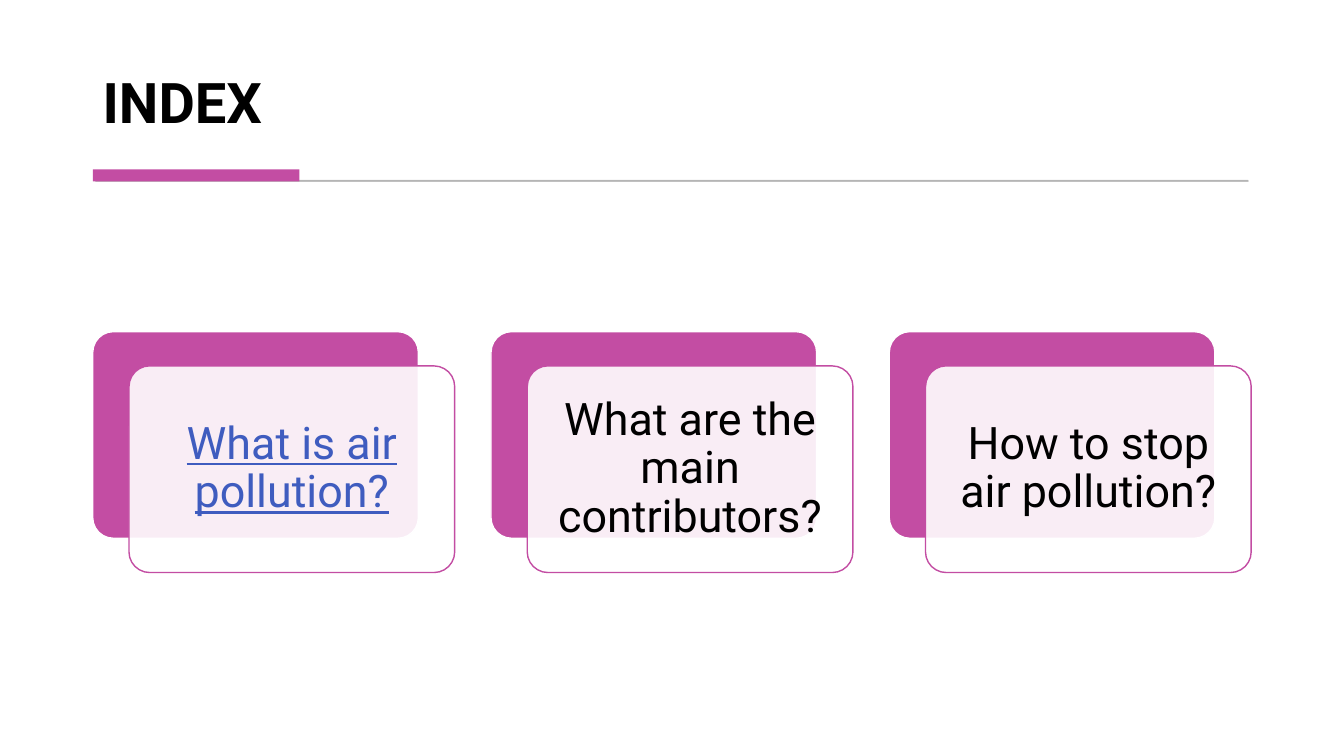
from lxml.etree import SubElement
from pptx import Presentation
from pptx.dml.color import RGBColor
from pptx.enum.shapes import MSO_SHAPE as Shape
from pptx.enum.text import MSO_ANCHOR as Anchor, PP_ALIGN as Align
from pptx.oxml.ns import qn
from pptx.util import Inches, Pt

COLORS = {"accent": "C34DA3", "white": "FFFFFF", "rule": "595959",
          "text": "000000", "link": "3F5CBF"}
QUESTIONS = ["What is air pollution?", "What are the main contributors?",
             "How to stop air pollution?"]
CARD_PITCH = 3.95
CARD_OFFSET = (0.36, 0.34)
TEXT_MARGIN = 0.06


def set_opacity(color_format, color, percent):
    """Colour a solid fill or line and set its opacity."""
    color_format.solid()
    color_format.fore_color.rgb = RGBColor.from_string(COLORS[color])
    if percent < 100:
        element = color_format._xPr.find(qn("a:solidFill"))[0]
        SubElement(element, qn("a:alpha"), val=str(percent * 1000))


def add_box(slide, kind, box, fill, line=None, width=1, opacity=100, line_opacity=100):
    """Add a preset shape with flat fill and optional outline."""
    shape = slide.shapes.add_shape(kind, *map(Inches, box))
    shape.shadow.inherit = False
    set_opacity(shape.fill, fill, opacity)
    if line:
        shape.line.width = Pt(width)
        set_opacity(shape.line.fill, line, line_opacity)
    else:
        shape.line.fill.background()
    return shape


def add_text(slide, text, box, size=32, color="text", bold=False, underline=False,
             align=Align.LEFT, anchor=Anchor.MIDDLE, insets=(0.13, 0.13)):
    """Add a wrapped text box holding one formatted paragraph."""
    frame = slide.shapes.add_textbox(*map(Inches, box)).text_frame
    frame.word_wrap = True
    frame.vertical_anchor = anchor
    frame.margin_left = frame.margin_right = Inches(insets[0])
    frame.margin_top = frame.margin_bottom = Inches(insets[1])
    paragraph = frame.paragraphs[0]
    paragraph.alignment = align
    paragraph.line_spacing = 0.9
    run = paragraph.add_run()
    run.text = text
    font = run.font
    font.name, font.size = "Roboto", Pt(size)
    font.bold, font.underline = bold, underline
    font.color.rgb = RGBColor.from_string(COLORS[color])


def add_header(slide, title, left, top, width, height):
    """Place the title with its thin rule and accent bar below."""
    add_text(slide, title, (left, top, width, height), size=40, bold=True,
             anchor=Anchor.BOTTOM, insets=(0.1, 0.05))
    bottom = top + height
    add_box(slide, Shape.RECTANGLE, (left + 0.03, bottom + 0.4, width - 0.06, 0.01),
            "rule", "rule", 0.75, opacity=30, line_opacity=30)
    add_box(slide, Shape.RECTANGLE, (left, bottom + 0.29, 2.05, 0.12), "accent")


def add_card(slide, question, left, top, width, height, linked=False):
    """Place a question on a translucent card over an accent card."""
    back = add_box(slide, Shape.ROUNDED_RECTANGLE, (left, top, width, height),
                   "accent", "white")
    left, top = left + CARD_OFFSET[0], top + CARD_OFFSET[1]
    front = add_box(slide, Shape.ROUNDED_RECTANGLE, (left, top, width, height),
                    "white", "accent", opacity=90)
    back.adjustments[0] = front.adjustments[0] = 0.1
    add_text(slide, question,
             (left + TEXT_MARGIN, top + TEXT_MARGIN,
              width - 2 * TEXT_MARGIN, height - 2 * TEXT_MARGIN),
             color="link" if linked else "text", underline=linked, align=Align.CENTER)


def main():
    """Build the index slide and save it."""
    presentation = Presentation()
    presentation.slide_width, presentation.slide_height = Inches(13.33), Inches(7.5)
    slide = presentation.slides.add_slide(presentation.slide_layouts[6])
    add_header(slide, "INDEX", 0.92, 0.28, 11.49, 1.11)
    for column, question in enumerate(QUESTIONS):
        add_card(slide, question, 0.92 + column * CARD_PITCH, 3.29, 3.23, 2.05,
                 linked=column == 0)
    presentation.save("out.pptx")


if __name__ == "__main__":
    main()
